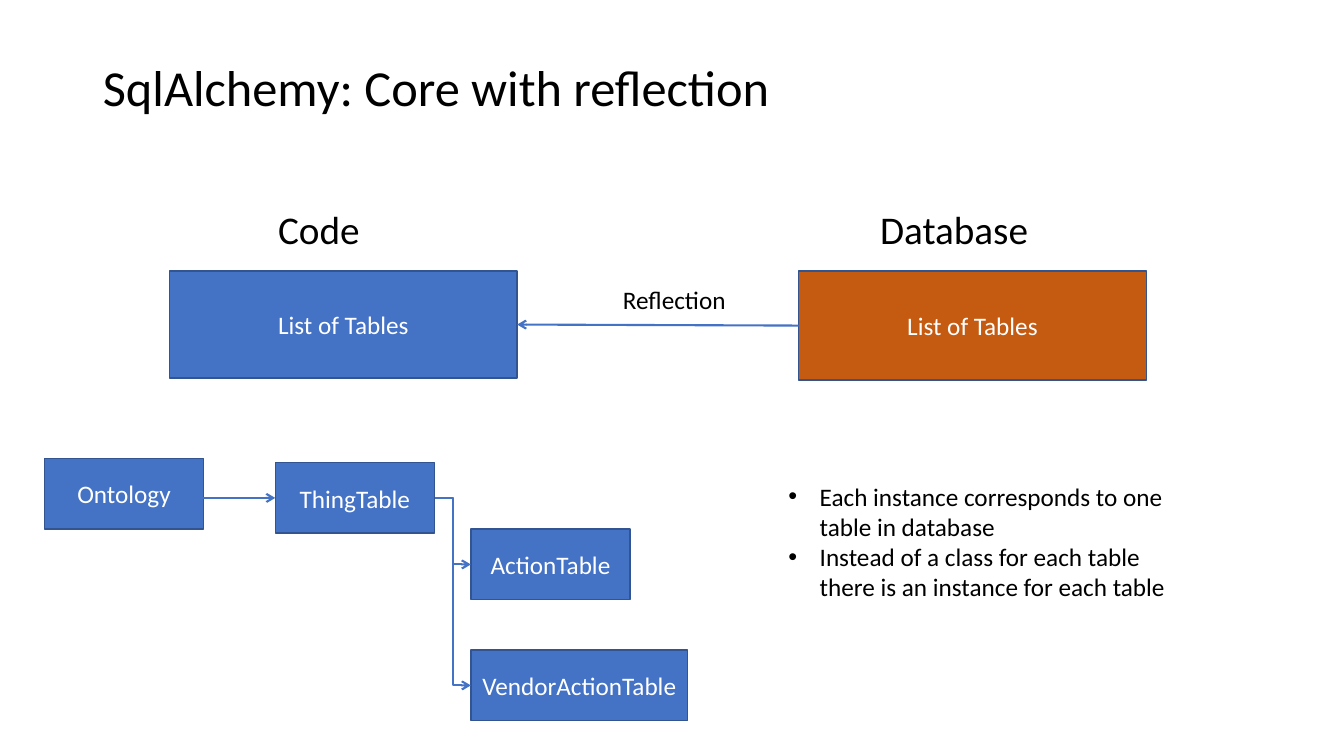
from lxml.etree import SubElement
from pptx import Presentation
from pptx.dml.color import RGBColor
from pptx.enum.shapes import MSO_CONNECTOR as CONN, MSO_SHAPE as SHAPE
from pptx.enum.text import MSO_ANCHOR as ANCHOR, MSO_AUTO_SIZE as AUTO, PP_ALIGN as ALIGN
from pptx.oxml.ns import qn
from pptx.util import Inches, Pt

COLORS = {"text": "000000", "light": "FFFFFF", "blue": "4472C4",
          "orange": "C55A11", "edge": "325491"}
RIGHT, LEFT = 3, 1


def rgb(name):
    """Look up a named colour."""
    return RGBColor.from_string(COLORS[name])


class Diagram:
    """Slide with one style for its boxes, labels and arrows."""

    font = "Calibri"

    def __init__(self, s):
        """Keep the current slide."""
        self.s = s

    def run(self, p, text, size, color="text"):
        """Add one styled run."""
        r = p.add_run()
        r.text = text
        r.font.name = self.font
        r.font.size = Pt(size)
        r.font.color.rgb = rgb(color)

    def place(self, sp, x, y, w, h):
        """Move and size a placeholder."""
        sp.left, sp.top, sp.width, sp.height = map(Inches, (x, y, w, h))
        sp.text_frame.word_wrap = True
        sp.text_frame.auto_size = AUTO.NONE
        return sp.text_frame

    def title(self, text, *pos):
        """Fill the title placeholder."""
        tf = self.place(self.s.shapes.title, *pos)
        tf.vertical_anchor = ANCHOR.MIDDLE
        p = tf.paragraphs[0]
        p.alignment = ALIGN.LEFT
        p.line_spacing = 0.9
        self.run(p, text, 36)

    def bullets(self, items, *pos):
        """Fill the body placeholder with a bulleted list."""
        tf = self.place(self.s.placeholders[1], *pos)
        for i, item in enumerate(items):
            p = tf.add_paragraph() if i else tf.paragraphs[0]
            p.space_before = Pt(0)
            pPr = p._p.get_or_add_pPr()
            pPr.set("marL", str(Inches(0.31)))
            pPr.set("indent", str(-Inches(0.31)))
            SubElement(pPr, qn("a:buFont"), typeface="Arial")
            SubElement(pPr, qn("a:buChar"), char="•")
            self.run(p, item, 18)

    def label(self, text, size, wrap, *pos):
        """Add a text box."""
        tf = self.s.shapes.add_textbox(*map(Inches, pos)).text_frame
        tf.word_wrap = wrap
        tf.auto_size = AUTO.SHAPE_TO_FIT_TEXT
        self.run(tf.paragraphs[0], text, size)

    def box(self, text, x, y, w=1.58, h=0.7, fill="blue"):
        """Add a filled rectangle with centred text."""
        sp = self.s.shapes.add_shape(SHAPE.RECTANGLE, *map(Inches, (x, y, w, h)))
        sp.shadow.inherit = False
        sp.fill.solid()
        sp.fill.fore_color.rgb = rgb(fill)
        sp.line.color.rgb = rgb("edge")
        sp.line.width = Pt(1)
        tf = sp.text_frame
        tf.word_wrap = True
        tf.vertical_anchor = ANCHOR.MIDDLE
        p = tf.paragraphs[0]
        p.alignment = ALIGN.CENTER
        self.run(p, text, 18, "light")
        return sp

    def arrow(self, end, site, start=None, at=(0, 0), kind=CONN.STRAIGHT):
        """Add an arrow to a side of a box, from another box or a point."""
        x, y = map(Inches, at)
        c = self.s.shapes.add_connector(kind, x, y, x, y)
        if start is not None:
            c.begin_connect(start, RIGHT if site == LEFT else LEFT)
        c.end_connect(end, site)
        c.line.color.rgb = rgb("blue")
        c.line.width = Pt(1.5)
        SubElement(c.line._get_or_add_ln(), qn("a:tailEnd"), type="arrow")
        SubElement(c._element.spPr, qn("a:effectLst"))


def main():
    """Build the slide and save it."""
    prs = Presentation()
    prs.slide_width, prs.slide_height = Inches(13.33), Inches(7.5)
    d = Diagram(prs.slides.add_slide(prs.slide_layouts[1]))

    d.title("SqlAlchemy: Core with reflection", 0.92, 0.4, 11.5, 0.99)
    d.label("Code", 28, False, 2.66, 1.99, 1.02, 0.57)
    d.label("Database", 28, False, 8.63, 1.99, 1.69, 0.57)
    code = d.box("List of Tables", 1.68, 2.69, 3.45, 1.06)
    database = d.box("List of Tables", 7.92, 2.69, 3.45, 1.08, "orange")
    d.arrow(code, RIGHT, database)
    d.label("Reflection", 18, True, 6.08, 2.77, 1.32, 0.4)

    d.box("Ontology", 0.44, 4.55)
    thing = d.box("ThingTable", 2.73, 4.59)
    action = d.box("ActionTable", 4.67, 5.25)
    vendor = d.box("VendorActionTable", 4.67, 6.45, 2.15)
    d.arrow(thing, LEFT, at=(1.77, 4.94))
    for table in (vendor, action):
        d.arrow(table, LEFT, thing, kind=CONN.ELBOW)

    d.bullets(["Each instance corresponds to one table in database",
               "Instead of a class for each table there is an instance for each table"],
              7.72, 4.72, 4.13, 1.31)
    prs.save("out.pptx")


if __name__ == "__main__":
    main()
